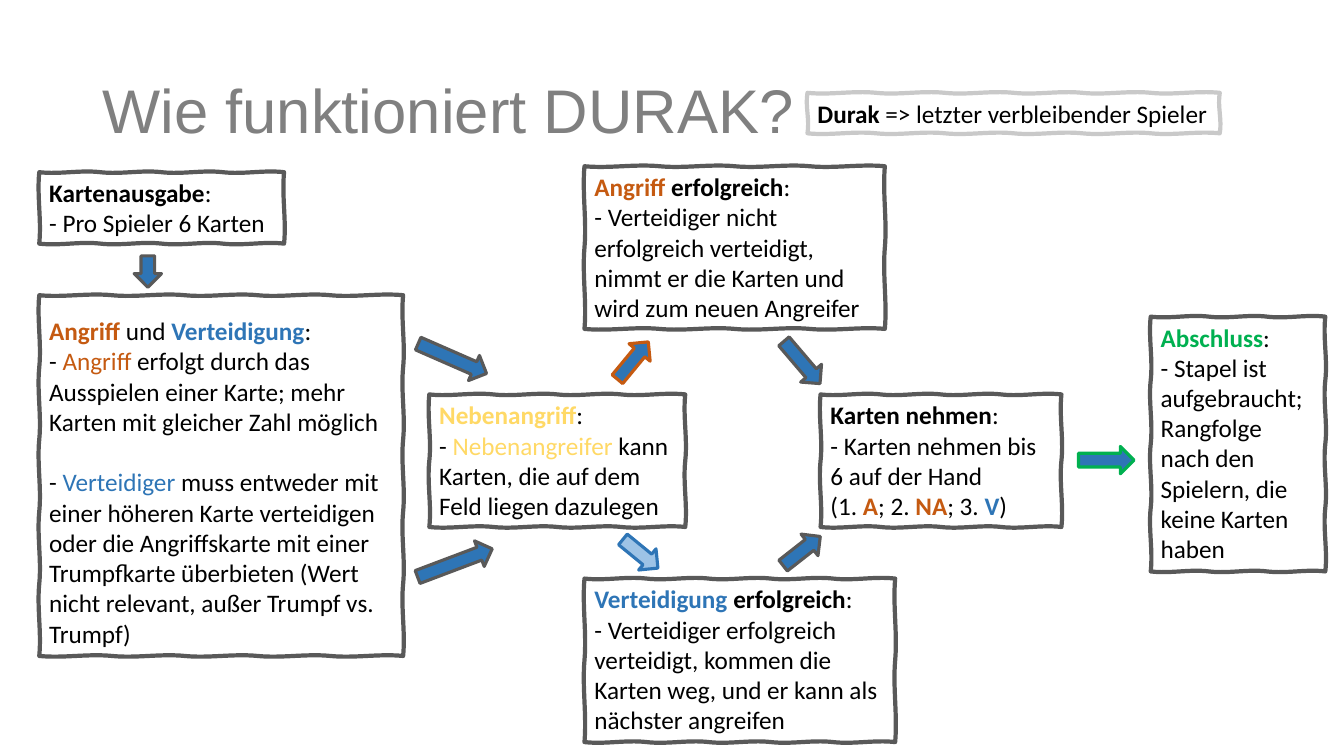
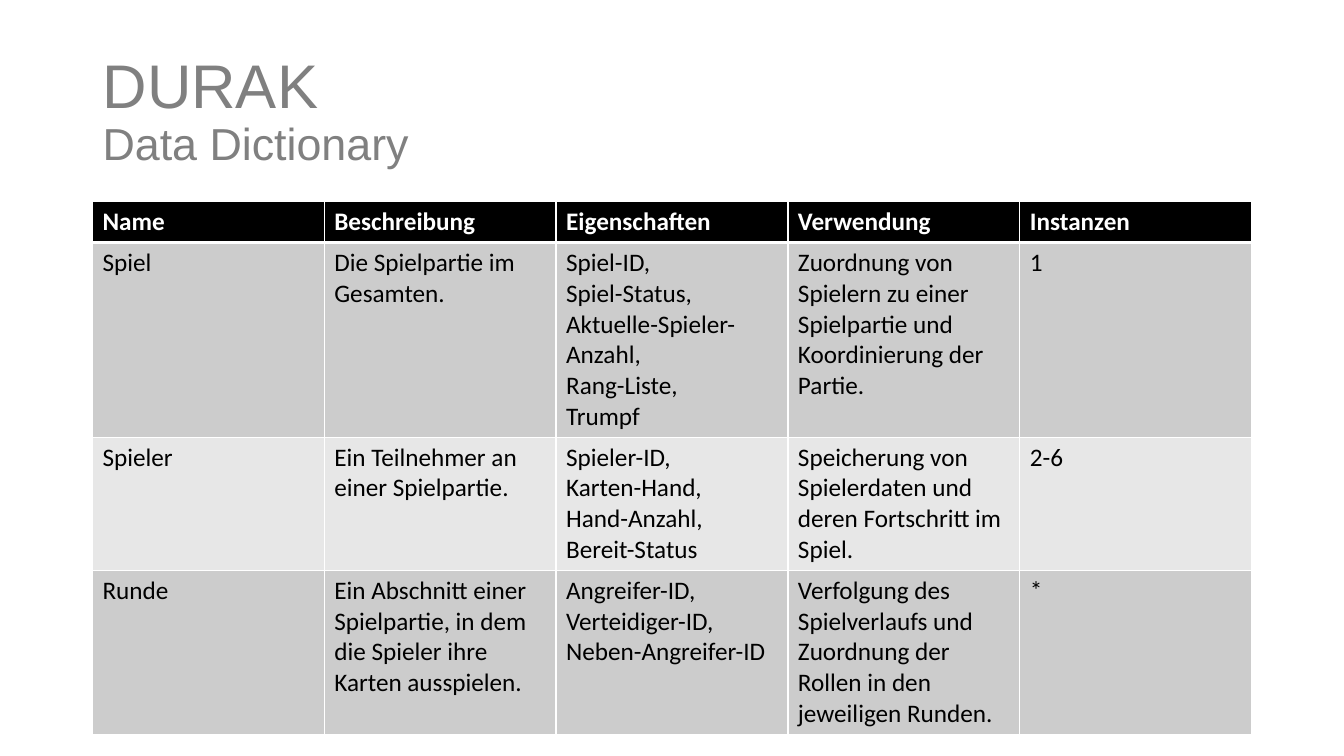
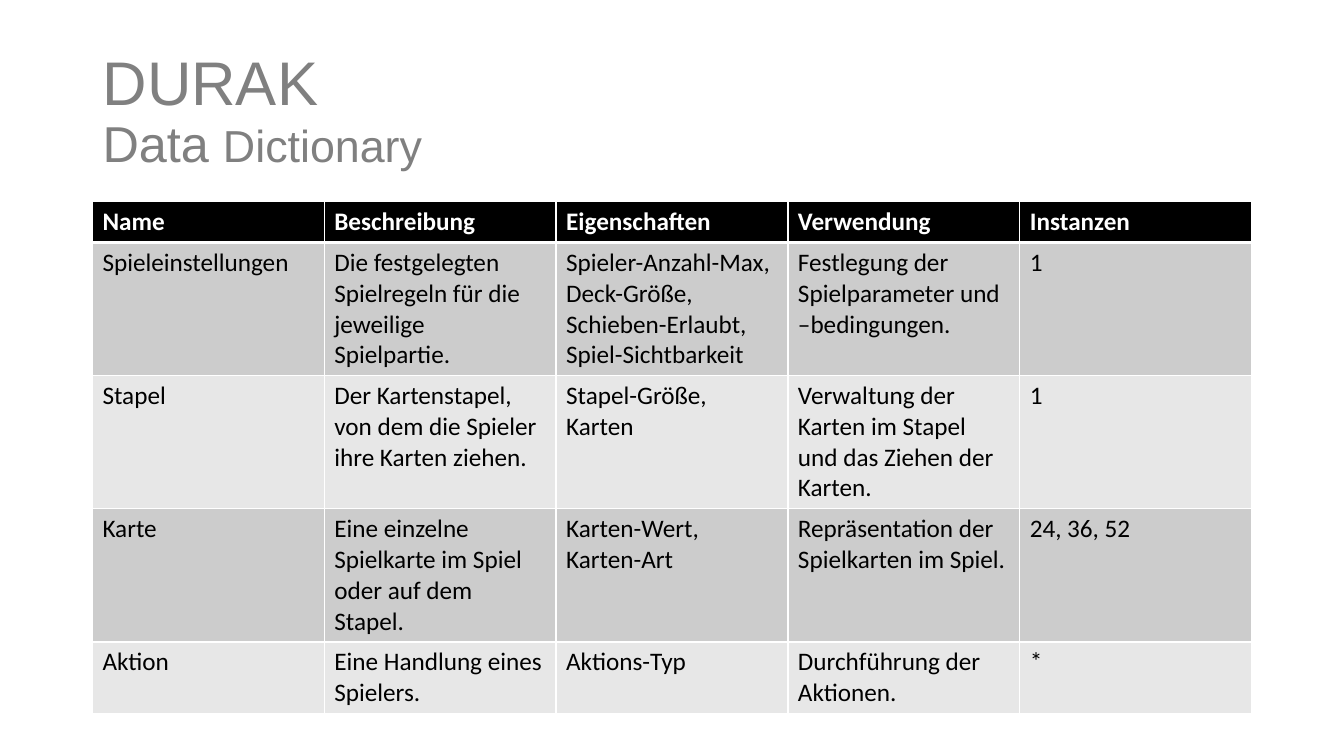
"""Build three slides on the card game Durak: its flow and its data dictionary."""
from math import hypot

from pptx import Presentation
from pptx.dml.color import RGBColor
from pptx.enum.shapes import MSO_SHAPE
from pptx.enum.text import MSO_ANCHOR, MSO_AUTO_SIZE, PP_ALIGN
from pptx.oxml import parse_xml
from pptx.oxml.ns import nsdecls, qn
from pptx.oxml.xmlchemy import OxmlElement
from pptx.util import Cm, Pt

BLACK, WHITE, GREY, DARK, LIGHT = "000000", "FFFFFF", "808080", "595959", "C9C9C9"
ORANGE, BLUE, PALE, YELLOW, GREEN = "C55A11", "2E75B6", "9DC3E6", "FFD966", "00B050"
BANDS = ["CCCCCC", "E7E7E7"]


def rgb(value):
    return RGBColor.from_string(value)


def add_run(p, text, color=BLACK, bold=False, size=18, name="Calibri"):
    r = p.add_run()
    r.text = text
    for key, value in {"size": Pt(size), "name": name, "bold": bold}.items():
        setattr(r.font, key, value)
    r.font.color.rgb = rgb(color)


prs = Presentation()
prs.slide_width, prs.slide_height = Cm(33.87), Cm(19.05)
layout = prs.slide_layouts[5]
frame = {"left": 2.33, "top": 1.01, "width": 29.21, "height": 3.68}
for key, value in frame.items():
    setattr(layout.placeholders[0], key, Cm(value))

titles = [
    [[("Wie funktioniert DURAK?", 44)]],
    [[("DURAK", 44)], [("Data Dictionary", 32)]],
    [[("DURAK", 44)], [("Data ", 36), ("Dictionary", 32)]],
]
slides = []
for lines in titles:
    s = prs.slides.add_slide(layout)
    slides.append(s)
    tf = s.shapes.title.text_frame
    tf.auto_size = MSO_AUTO_SIZE.NONE
    tf.vertical_anchor = MSO_ANCHOR.MIDDLE
    p = tf.paragraphs[0]
    p.alignment, p.line_spacing = PP_ALIGN.LEFT, 0.9
    for i, line in enumerate(lines):
        if i:
            p.add_line_break()
        for text, size in line:
            add_run(p, text, GREY, size=size, name="Arial")

boxes = [
    (0.99, 4.34, 6.17, 1.8, DARK, [
        [("Kartenausgabe", BLACK, True), (":",)],
        [("- Pro Spieler 6 Karten",)]]),
    (0.99, 7.44, 9.17, 9.09, DARK, [
        [("Angriff", ORANGE, True), (" und ",), ("Verteidigung", BLUE, True), (":",)],
        [("- ",), ("Angriff", ORANGE),
         (" erfolgt durch das Ausspielen einer Karte; "
          "mehr Karten mit gleicher Zahl möglich",)],
        [("- ",), ("Verteidiger", BLUE),
         (" muss entweder mit einer höheren Karte verteidigen oder die Angriffskarte "
          "mit einer Trumpfkarte überbieten (Wert nicht relevant, "
          "außer Trumpf vs. Trumpf)",)]]),
    (29, 7.98, 4.4, 6.42, DARK, [
        [("Abschluss", GREEN, True), (":",)],
        [("- Stapel ist aufgebraucht; Rangfolge nach den Spielern, "
          "die keine Karten haben",)]]),
    (14.73, 14.58, 7.83, 4.12, DARK, [
        [("Verteidigung", BLUE, True), (" erfolgreich", BLACK, True), (":",)],
        [("- Verteidiger erfolgreich verteidigt, kommen die Karten weg, "
          "und er kann als nächster angreifen",)]]),
    (14.73, 4.19, 7.57, 4.1, DARK, [
        [("Angriff", ORANGE, True), (" erfolgreich", BLACK, True), (":",)],
        [("- Verteidiger nicht erfolgreich verteidigt, nimmt er die Karten "
          "und wird zum neuen Angreifer",)]]),
    (20.68, 9.94, 6.07, 3.34, DARK, [
        [("Karten nehmen", BLACK, True), (":",)],
        [("- Karten nehmen bis 6 auf der Hand",)],
        [("(1. ",), ("A", ORANGE, True), ("; 2. ",), ("NA", ORANGE, True),
         ("; 3. ",), ("V", BLUE, True), (")",)]]),
    (10.82, 9.94, 6.45, 3.34, DARK, [
        [("Nebenangriff", YELLOW, True), (":",)],
        [("- ",), ("Nebenangreifer", YELLOW),
         (" kann Karten, die auf dem Feld liegen dazulegen",)]]),
    (20.35, 2.34, 10.39, 1.02, LIGHT, [
        [("Durak", BLACK, True), (" => letzter verbleibender Spieler",)]]),
]
WOBBLE, SEGMENT = 0.06, 1.7
margins = {"margin_left": 0.31, "margin_right": 0.31, "margin_top": 0.19, "margin_bottom": 0.19}
s = slides[0]
for x, y, w, h, line, paragraphs in boxes:
    corners = [(x, y), (x + w, y), (x + w, y + h), (x, y + h)]
    points = []
    for (x1, y1), (x2, y2) in zip(corners, corners[1:] + corners[:1]):
        length = hypot(x2 - x1, y2 - y1)
        thirds = 3 * max(1, round(length / SEGMENT))
        for i in range(1, thirds + 1):
            t = i / thirds
            shift = (0, WOBBLE, -WOBBLE)[i % 3] / length
            points.append((Cm(x1 + (x2 - x1) * t - (y2 - y1) * shift),
                           Cm(y1 + (y2 - y1) * t + (x2 - x1) * shift)))
    builder = s.shapes.build_freeform(Cm(x), Cm(y))
    builder.add_line_segments(points, close=True)
    sp = builder.convert_to_shape()
    segments = list(sp._element.iter(qn("a:lnTo")))
    for i in range(0, len(segments), 3):
        curve = OxmlElement("a:cubicBezTo")
        segments[i].addprevious(curve)
        for segment in segments[i:i + 3]:
            curve.append(segment[0])
            segment.getparent().remove(segment)
    sp.shadow.inherit = False
    sp.fill.background()
    sp.line.color.rgb, sp.line.width = rgb(line), Pt(3)
    tf = sp.text_frame
    tf.word_wrap, tf.vertical_anchor = True, MSO_ANCHOR.TOP
    for key, value in margins.items():
        setattr(tf, key, Cm(value))
    for i, runs in enumerate(paragraphs):
        p = tf.add_paragraph() if i else tf.paragraphs[0]
        p.alignment = PP_ALIGN.LEFT
        for run in runs:
            add_run(p, *run)
    if h > 9:
        tf.paragraphs[0].line_spacing = 1.5
        tf.paragraphs[2].space_before = Pt(21.6)

arrows = [
    (3.33, 6.5, 0.79, 90, BLUE, DARK),
    (15.34, 8.74, 1.22, 309.6, BLUE, ORANGE),
    (10.46, 13.84, 2.01, 339.3, BLUE, DARK),
    (10.46, 8.69, 1.88, 23.6, BLUE, DARK),
    (15.57, 13.61, 1.14, 39.3, PALE, BLUE),
    (19.51, 8.79, 1.4, 49.5, BLUE, DARK),
    (19.61, 13.54, 1.19, 321.9, BLUE, DARK),
    (27.18, 11.25, 1.4, 0, BLUE, GREEN),
]
for x, y, w, angle, fill, line in arrows:
    sp = s.shapes.add_shape(MSO_SHAPE.RIGHT_ARROW, Cm(x), Cm(y), Cm(w), Cm(0.69))
    sp.shadow.inherit = False
    sp.rotation = angle
    sp.fill.solid()
    sp.fill.fore_color.rgb = rgb(fill)
    sp.line.color.rgb, sp.line.width = rgb(line), Pt(2.25)

header = ("Name", "Beschreibung", "Eigenschaften", "Verwendung", "Instanzen")
dictionaries = [
    [("Spiel", "Die Spielpartie im Gesamten.",
      "Spiel-ID,\nSpiel-Status,\nAktuelle-Spieler-Anzahl,\nRang-Liste,\nTrumpf",
      "Zuordnung von Spielern zu einer Spielpartie und Koordinierung der Partie.", "1"),
     ("Spieler", "Ein Teilnehmer an einer Spielpartie.",
      "Spieler-ID,\nKarten-Hand,\nHand-Anzahl,\nBereit-Status",
      "Speicherung von Spielerdaten und deren Fortschritt im Spiel.", "2-6"),
     ("Runde", "Ein Abschnitt einer Spielpartie, in dem die Spieler ihre Karten ausspielen.",
      "Angreifer-ID, Verteidiger-ID, Neben-Angreifer-ID",
      "Verfolgung des Spielverlaufs und Zuordnung der Rollen in den jeweiligen Runden.", "*")],
    [("Spieleinstellungen", "Die festgelegten Spielregeln für die jeweilige Spielpartie.",
      "Spieler-Anzahl-Max, Deck-Größe, Schieben-Erlaubt,\nSpiel-Sichtbarkeit",
      "Festlegung der Spielparameter und –bedingungen.", "1"),
     ("Stapel", "Der Kartenstapel, von dem die Spieler ihre Karten ziehen.",
      "Stapel-Größe, Karten",
      "Verwaltung der Karten im Stapel und das Ziehen der Karten.", "1"),
     ("Karte", "Eine einzelne Spielkarte im Spiel oder auf dem Stapel.",
      "Karten-Wert,\nKarten-Art", "Repräsentation der Spielkarten im Spiel.", "24, 36, 52"),
     ("Aktion", "Eine Handlung eines Spielers.", "Aktions-Typ",
      "Durchführung der Aktionen.", "*")],
]
borders = {"lnL": 1, "lnR": 1, "lnT": 1, "lnB": 3}
for s, entries in zip(slides[1:], dictionaries):
    rows = [header] + entries
    table = s.shapes.add_table(len(rows), len(header), Cm(2.33), Cm(5.08),
                               Cm(29.21), Cm(1.03) * len(rows)).table
    for i, row in enumerate(rows):
        for j, text in enumerate(row):
            cell = table.cell(i, j)
            if i == 0:
                for side, width in borders.items():
                    cell._tc.get_or_add_tcPr().append(parse_xml(
                        f'<a:{side} {nsdecls("a")} w="{Pt(width)}"><a:solidFill>'
                        f'<a:srgbClr val="{WHITE}"/></a:solidFill></a:{side}>'))
            cell.fill.solid()
            cell.fill.fore_color.rgb = rgb(BANDS[(i - 1) % 2] if i else BLACK)
            tf = cell.text_frame
            for k, line in enumerate(text.split("\n")):
                p = tf.add_paragraph() if k else tf.paragraphs[0]
                add_run(p, line, BLACK if i else WHITE, bold=i == 0)

prs.save("out.pptx")
